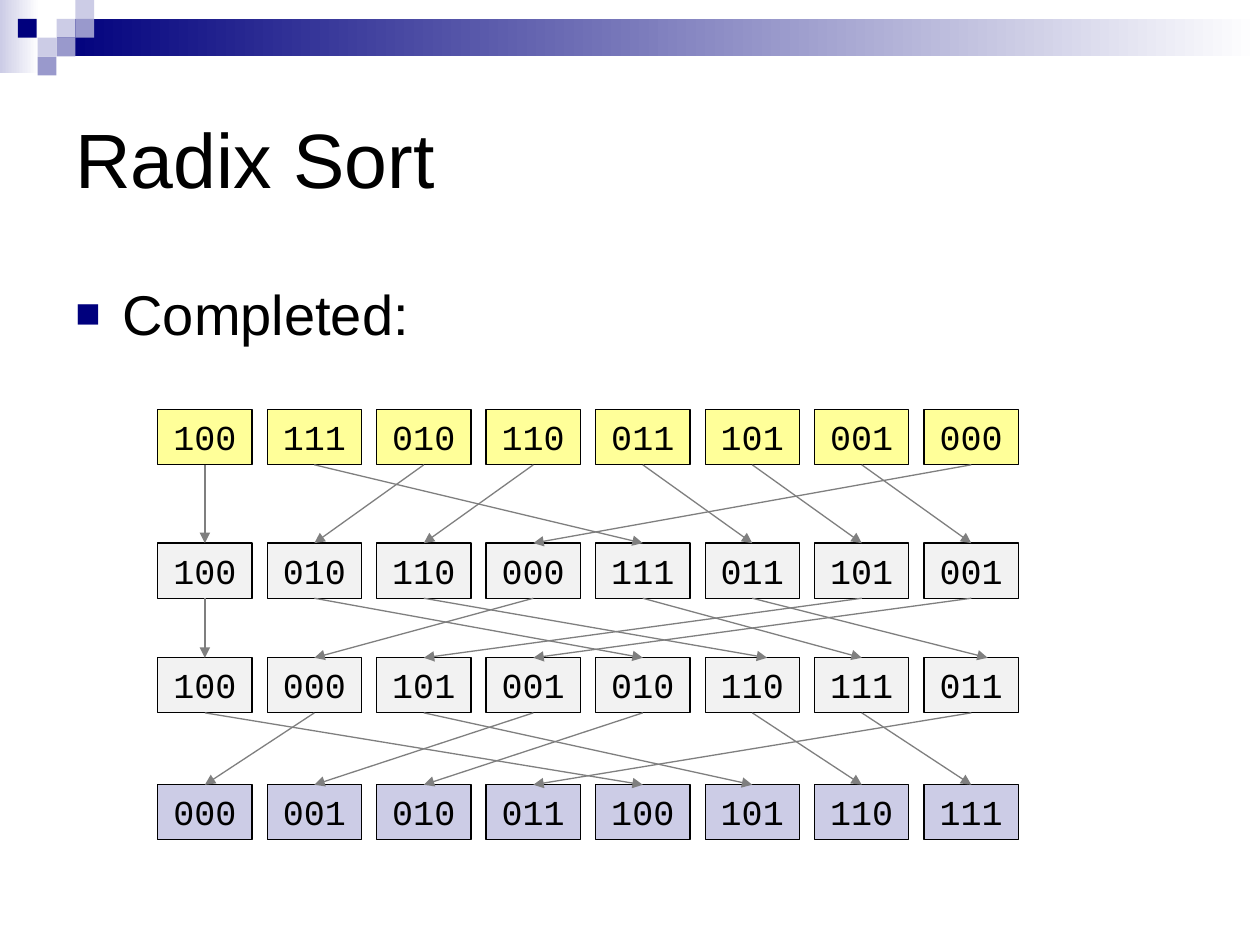
from dataclasses import dataclass

from lxml.etree import SubElement
from pptx import Presentation
from pptx.dml.color import RGBColor
from pptx.enum.shapes import MSO_CONNECTOR, MSO_SHAPE
from pptx.enum.text import MSO_ANCHOR, PP_ALIGN
from pptx.oxml.ns import qn
from pptx.util import Cm, Pt


@dataclass(frozen=True)
class Theme:
    """Colours, fonts and type sizes of the slide."""
    navy: str = "00007D"
    violet: str = "9999CC"
    lavender: str = "CCCCE6"
    white: str = "FFFFFF"
    black: str = "000000"
    yellow: str = "FFFF99"
    pale: str = "F2F2F2"
    gray: str = "7F7F7F"
    body_font: str = "Arial"
    code_font: str = "Courier New"
    title_size: int = 44
    body_size: int = 32
    code_size: int = 20
    line_width: float = 0.75


@dataclass(frozen=True)
class Box:
    """A region in centimetres."""
    left: float
    top: float
    width: float
    height: float

    def lengths(self):
        """Return the region as slide lengths."""
        return [Cm(value) for value in (self.left, self.top, self.width, self.height)]


THEME = Theme()
START_KEYS = ["100", "111", "010", "110", "011", "101", "001", "000"]
ROW_TOPS = [0, 2.69, 5, 7.56]
ROW_FILLS = [THEME.yellow, THEME.pale, THEME.pale, THEME.lavender]
ARROW_SHIFTS = {(1, "110"): 0.3, (1, "011"): 0.33}


def apply_format(target, values):
    """Set every attribute named in a dict of format values."""
    for name, value in values.items():
        setattr(target, name, value)


def write_text(shape, text, font, size, align, anchor):
    """Write one paragraph into a shape and return it."""
    frame = shape.text_frame
    apply_format(frame, {"word_wrap": True, "vertical_anchor": anchor})
    para = frame.paragraphs[0]
    para.alignment = align
    span = para.add_run()
    span.text = text
    apply_format(span.font, {"name": font, "size": Pt(size)})
    span.font.color.rgb = RGBColor.from_string(THEME.black)
    return para


def add_block(page, box, fill, outline=None):
    """Add a rectangle with a plain fill, or a gradient for a pair of colours."""
    block = page.shapes.add_shape(MSO_SHAPE.RECTANGLE, *box.lengths())
    block.shadow.inherit = False
    if isinstance(fill, tuple):
        block.fill.gradient()
        block.fill.gradient_angle = 0
        for stop, colour in zip(block.fill.gradient_stops, fill):
            stop.color.rgb = RGBColor.from_string(colour)
    else:
        block.fill.solid()
        block.fill.fore_color.rgb = RGBColor.from_string(fill)
    if outline:
        block.line.color.rgb = RGBColor.from_string(outline)
        block.line.width = Pt(THEME.line_width)
    else:
        block.line.fill.background()
    return block


def add_arrow(page, start, end):
    """Add a thin arrow between two points."""
    points = [Cm(value) for value in (*start, *end)]
    arrow = page.shapes.add_connector(MSO_CONNECTOR.STRAIGHT, *points)
    arrow.line.color.rgb = RGBColor.from_string(THEME.gray)
    arrow.line.width = Pt(THEME.line_width)
    SubElement(arrow.line._get_or_add_ln(), qn("a:tailEnd"), type="triangle")
    SubElement(arrow._element.spPr, qn("a:effectLst"))


def add_header(page, box):
    """Draw the gradient band and its mosaic of squares."""
    side = box.height / 4
    add_block(page, Box(box.left, box.top, 0.79, 1.47), (THEME.lavender, THEME.white))
    band_left = box.left + 3 * side
    band = Box(band_left, box.top + side, box.width - 3 * side, 2 * side)
    add_block(page, band, (THEME.navy, THEME.white))
    squares = {
        THEME.lavender: [(3, 1), (4, 0), (2, 2)],
        THEME.violet: [(4, 1), (3, 2), (2, 3)],
        THEME.navy: [(0.95, 1)],
    }
    for colour, places in squares.items():
        for column, row in places:
            square = Box(box.left + column * side, box.top + row * side, side, side)
            add_block(page, square, colour)


def add_title(page, box, text):
    """Write the slide title."""
    title = page.shapes.add_textbox(*box.lengths())
    write_text(title, text, THEME.body_font, THEME.title_size, PP_ALIGN.LEFT, MSO_ANCHOR.MIDDLE)


def add_bullet(page, box, text):
    """Write a line with a square bullet."""
    body = page.shapes.add_textbox(*box.lengths())
    para = write_text(body, text, THEME.body_font, THEME.body_size, PP_ALIGN.LEFT, MSO_ANCHOR.TOP)
    para.space_before = Pt(8)
    properties = para._p.get_or_add_pPr()
    indent = Cm(0.95)
    properties.set("marL", str(indent))
    properties.set("indent", str(-indent))
    colour = SubElement(properties, qn("a:buClr"))
    SubElement(colour, qn("a:srgbClr"), val=THEME.navy)
    SubElement(properties, qn("a:buSzPct"), val="75000")
    SubElement(properties, qn("a:buFont"), typeface=THEME.body_font)
    SubElement(properties, qn("a:buChar"), char="■")


def radix_passes(keys):
    """Return the keys at the start and after each pass, last digit first."""
    rows = [keys]
    for digit in reversed(range(len(keys[0]))):
        rows.append(sorted(rows[-1], key=lambda key: key[digit]))
    return rows


def add_sort_diagram(page, box, keys):
    """Draw each pass as a row of keys, with arrows to the next pass."""
    rows = radix_passes(keys)
    cell_width, cell_height = 1.9, box.height - ROW_TOPS[-1]
    pitch = (box.width - cell_width) / (len(keys) - 1)
    tops = [box.top + offset for offset in ROW_TOPS]
    for row, top, fill in zip(rows, tops, ROW_FILLS):
        for column, key in enumerate(row):
            place = Box(box.left + column * pitch, top, cell_width, cell_height)
            cell = add_block(page, place, fill, THEME.black)
            write_text(cell, key, THEME.code_font, THEME.code_size, PP_ALIGN.CENTER, MSO_ANCHOR.TOP)
    first_centre = box.left + cell_width / 2
    for level, (row, following) in enumerate(zip(rows, rows[1:])):
        for column, key in enumerate(row):
            start = first_centre + column * pitch
            end = first_centre + following.index(key) * pitch + ARROW_SHIFTS.get((level, key), 0)
            add_arrow(page, (start, tops[level] + cell_height), (end, tops[level + 1]))


def main():
    """Build and save the deck."""
    deck = Presentation()
    apply_format(deck, {"slide_width": Cm(25.4), "slide_height": Cm(19.05)})
    page = deck.slides.add_slide(deck.slide_layouts[6])
    add_header(page, Box(0, 0, 25.4, 1.52))
    add_title(page, Box(1.27, 1.27, 22.86, 3.81), "Radix Sort")
    add_bullet(page, Box(1.27, 5.51, 22.86, 1.9), "Completed:")
    add_sort_diagram(page, Box(3.18, 8.26, 17.35, 8.67), START_KEYS)
    deck.save("out.pptx")


if __name__ == "__main__":
    main()
